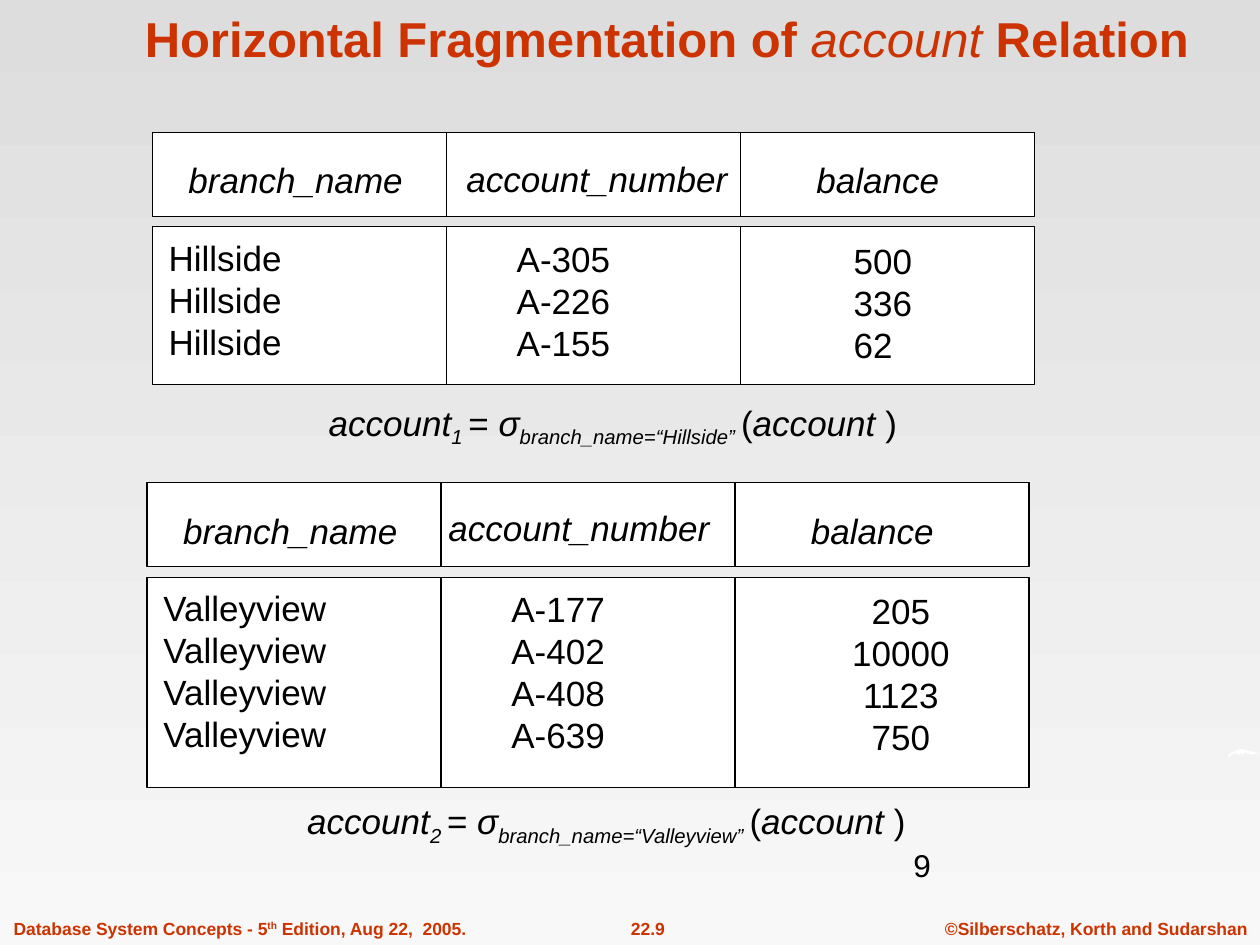
from pptx import Presentation
from pptx.dml.color import RGBColor
from pptx.enum import shapes, text
from pptx.util import Pt

RED = RGBColor(0xCC, 0x33, 0x00)
BLACK = RGBColor(0, 0, 0)
WHITE = RGBColor(0xFF, 0xFF, 0xFF)
TOP_GRAY = RGBColor(0xDD, 0xDD, 0xDD)
LOW_GRAY = RGBColor(0xF8, 0xF8, 0xF8)
LEFT, MID = text.PP_ALIGN.LEFT, text.PP_ALIGN.CENTER

# A line of text is a list of (words, style); i italic, _ below, ^ above.
TITLE = [("Horizontal Fragmentation of ", "b"), ("account", "i"),
         (" Relation", "b")]
FOOT = [  # left, width, alignment, line
    (532.8, 187.2, MID, [("©Silberschatz, Korth and Sudarshan", "")]),
    (332.1, 76.3, MID, [("22.9", "")]),
    (0.7, 272.9, LEFT, [("Database System Concepts - 5", ""), ("th", "^"),
                        (" Edition, Aug 22,  2005.", "")]),
]
HEADS = ["branch_name", "account_number", "balance"]
HEAD_W = [137, 163.6, 84.4]
TABLES = [
    dict(left=87.1, top=75.6, sub="1 ", name="Hillside",
         heads=[(13.5, 11.5), (4.3, 10.8), (36.3, 11.5)],
         cells=[(2.2, 1.9, 78.8), (33.1, 2.4, 67.7), (57.6, 3.6, 47.8)],
         align=LEFT, formula=(180.7, 225.7, 368, 34.6),
         rows=[("A-305", "500"), ("A-226", "336"), ("A-155", "62")]),
    dict(left=84, top=275.9, sub="2 ", name="Valleyview",
         heads=[(13.5, 11.5), (-2.9, 10.1), (36.3, 11.5)],
         cells=[(2.2, 1.9, 108.7), (33.1, 2.2, 67.7), (59.8, 3.6, 70)],
         align=MID, formula=(168.5, 453.4, 384.5, 59),
         rows=[("A-177", "205"), ("A-402", "10000"), ("A-408", "1123"),
               ("A-639", "750")]),
]
COL_W, HEAD_H, ROW_H, GAP = 168, 48, 30, 6
SWASH = [(702, 432.7), (702.5, 431), (704, 429.8), (706, 429), (709, 428.5),
         (714, 429), (717, 430), (720, 430.6), (718, 431.3), (715, 430.6),
         (711, 430), (711.4, 432), (709, 430), (709, 432), (707, 430),
         (707.5, 432), (705.6, 430.4), (703, 431.6)]

prs = Presentation()
prs.slide_width, prs.slide_height = Pt(720), Pt(540)
slide = prs.slides.add_slide(prs.slide_layouts[6])


def write(box, lines, size=20, color=BLACK, bold=None, align=LEFT,
          wrap=False):
    """Add a text box and return its frame; unwrapped ones fit their text."""
    frame = slide.shapes.add_textbox(*map(Pt, box)).text_frame
    frame.word_wrap = wrap
    if not wrap:
        frame.auto_size = text.MSO_AUTO_SIZE.SHAPE_TO_FIT_TEXT
    for n, line in enumerate(lines):
        para = frame.add_paragraph() if n else frame.paragraphs[0]
        para.alignment = align
        font = para.font
        font.name, font.size, font.bold = "Arial", Pt(size), bold
        font.color.rgb = color
        for words, style in line:
            run = para.add_run()
            run.text = words
            if "i" in style:
                run.font.italic = True
            if "b" in style:
                run.font.bold = True
            for mark, shift in (("_", "-25000"), ("^", "30000")):
                if mark in style:
                    run.font._element.set("baseline", shift)
    return frame


def draw_cell(left, top, high):
    cell = slide.shapes.add_shape(shapes.MSO_SHAPE.RECTANGLE,
                                  *map(Pt, (left, top, COL_W, high)))
    cell.shadow.inherit = False
    cell.fill.solid()
    cell.fill.fore_color.rgb = WHITE
    cell.line.color.rgb = BLACK
    cell.line.width = Pt(0.75)


def draw_table(tab):
    rows = [(tab["name"],) + row for row in tab["rows"]]
    top = tab["top"]
    body = top + HEAD_H + GAP
    lefts = [tab["left"] + n * COL_W for n in range(len(HEADS))]
    for left, head, wide, (dx, dy) in zip(lefts, HEADS, HEAD_W, tab["heads"]):
        draw_cell(left, top, HEAD_H)
        write((left + dx, top + dy, wide, 31.5), [[(head, "i")]])
    for n, (left, (dx, dy, wide)) in enumerate(zip(lefts, tab["cells"])):
        draw_cell(left, body, ROW_H * len(rows))
        write((left + dx, body + dy, wide, 24 * len(rows) + 7.2),
              [[(row[n], "")] for row in rows],
              align=tab["align"] if n == 2 else LEFT)
    write(tab["formula"], [[
        ("account", "i"), (tab["sub"], "i_"), ("= ", ""), ("σ", "i"),
        (f"branch_name=“{tab['name']}” ", "i_"), ("(", ""),
        ("account ", "i"), (")", "")]], wrap=True)


back = slide.background.fill
back.gradient()
back.gradient_angle = 270
for stop, gray in zip(back.gradient_stops, (TOP_GRAY, LOW_GRAY)):
    stop.color.rgb = gray

for left, wide, align, line in FOOT:
    foot = write((left, 520.8, wide, 19.4), [line], 10, RED, True, align)
    foot.paragraphs[0].space_before = Pt(6.2)

pen = slide.shapes.build_freeform(*SWASH[0], scale=Pt(1))
pen.add_line_segments(SWASH[1:])
swash = pen.convert_to_shape()
swash.shadow.inherit = False
swash.fill.solid()
swash.fill.fore_color.rgb = WHITE
swash.line.fill.background()

title = write((30, 0, 702, 41.8), [TITLE], 28, RED, align=MID, wrap=True)
title.vertical_anchor = text.MSO_ANCHOR.BOTTOM
title.paragraphs[0].line_spacing = 0.8

for tab in TABLES:
    draw_table(tab)
write((514.8, 479.7, 149.8, 36), [[("9", "")]], 18, wrap=True)

prs.save("out.pptx")
